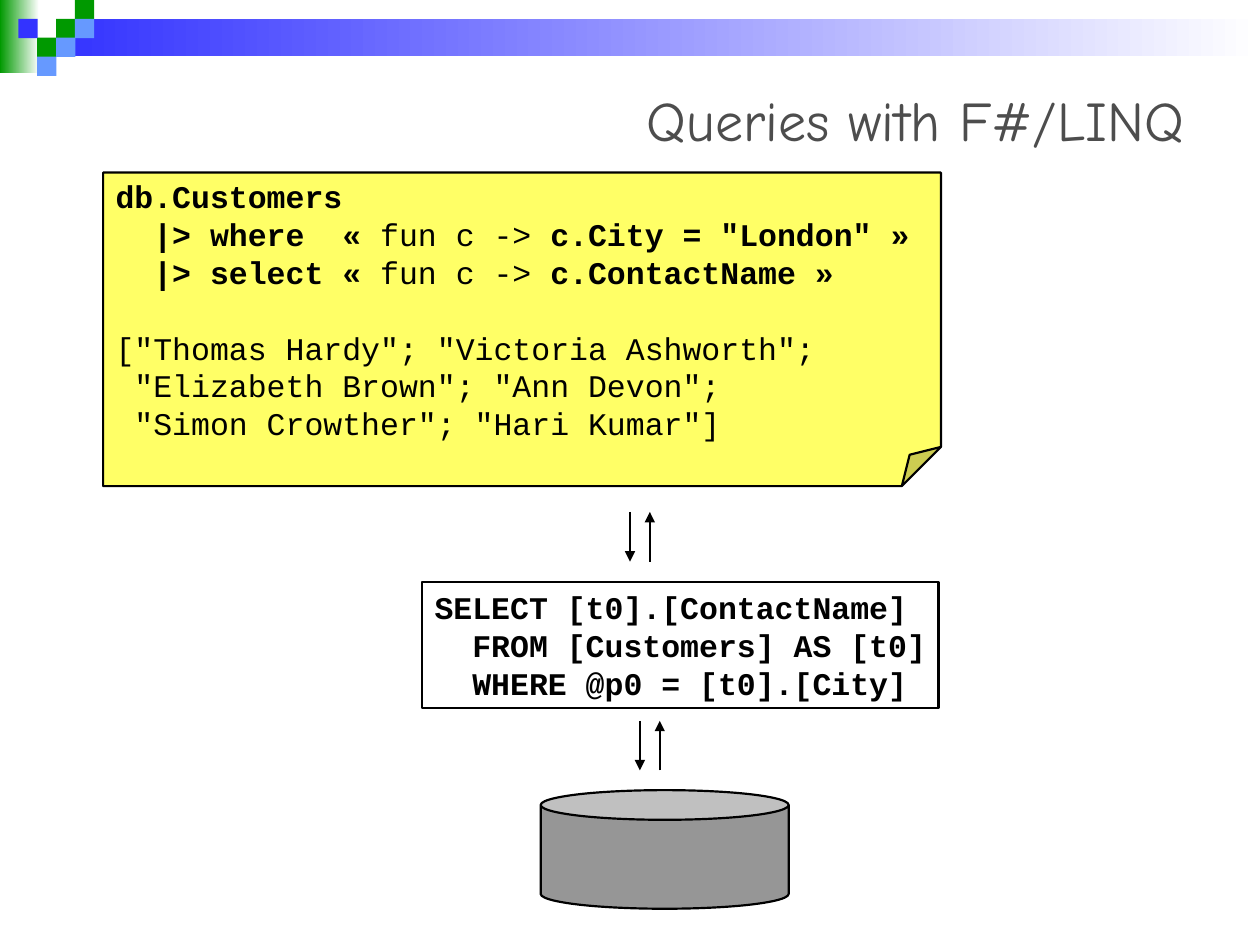
import pptx
import pptx.dml.color
import pptx.enum.shapes
import pptx.enum.text
import pptx.oxml.ns
import pptx.util
from lxml import etree
from pptx.util import Cm

RGBColor = pptx.dml.color.RGBColor
SHAPES = pptx.enum.shapes.MSO_SHAPE
ALIGN = pptx.enum.text.PP_ALIGN
BLACK = RGBColor(0x00, 0x00, 0x00)
WHITE = RGBColor(0xFF, 0xFF, 0xFF)
GREEN = RGBColor(0x00, 0x99, 0x00)
BLUE = RGBColor(0x33, 0x33, 0xFF)
SKY = RGBColor(0x66, 0x99, 0xFF)
YELLOW = RGBColor(0xFF, 0xFF, 0x66)
GRAY = RGBColor(0x96, 0x96, 0x96)
TITLE_GRAY = RGBColor(0x4D, 0x4D, 0x4D)
CODE_FONT = "Courier New"
LINE_PITCH = 21.6

QUERY = [
    [("db.Customers", True)],
    [("  |> where  « ", True), ("fun c ->", False), (' c.City = "London" »', True)],
    [("  |> select « ", True), ("fun c ->", False), (" c.ContactName »", True)],
]
RESULT = [
    [('["Thomas Hardy"; "Victoria Ashworth";', False)],
    [(' "Elizabeth Brown"; "Ann Devon";', False)],
    [(' "Simon Crowther"; "Hari Kumar"]', False)],
]
SQL = [
    [("SELECT [t0].[ContactName]", True)],
    [("  FROM [Customers] AS [t0]", True)],
    [("  WHERE @p0 = [t0].[City]", True)],
]


def add_text(paragraph, text, *, font, size, color, bold=False):
    """Append one formatted run to a paragraph."""
    run = paragraph.add_run()
    run.text = text
    run.font.name = font
    run.font.size = pptx.util.Pt(size)
    run.font.bold = bold
    run.font.color.rgb = color


def add_block(slide, kind, left, top, width, height, fill, outline=None):
    """Add a flat preset shape, given in centimetres."""
    shape = slide.shapes.add_shape(kind, Cm(left), Cm(top), Cm(width), Cm(height))
    shape.shadow.inherit = False
    shape.fill.solid()
    shape.fill.fore_color.rgb = fill
    if outline is None:
        shape.line.fill.background()
    else:
        shape.line.color.rgb = outline
        shape.line.width = pptx.util.Pt(1.25)
    return shape


def add_fading_bar(slide, left, top, width, height, color):
    """Add a bar that fades to white towards the right."""
    shape = add_block(slide, SHAPES.RECTANGLE, left, top, width, height, color)
    shape.fill.gradient()
    shape.fill.gradient_angle = 180
    for stop, stop_color in zip(shape.fill.gradient_stops, (WHITE, color)):
        stop.color.rgb = stop_color


def add_header(slide, left, top, width):
    """Draw the fading bars and the mosaic of small squares."""
    cell = 0.38
    band_left = 1.14
    add_fading_bar(slide, left, top, 0.79, 1.47, GREEN)
    add_fading_bar(slide, left + band_left, top + cell, width - band_left, 2 * cell, BLUE)
    mosaic = [(2, 1, GREEN), (3, 0, GREEN), (3, 1, SKY), (1, 2, GREEN),
              (0, 1, BLUE), (2, 2, SKY), (1, 3, SKY)]
    for column, row, color in mosaic:
        add_block(slide, SHAPES.RECTANGLE, left + 0.37 + column * cell,
                  top + row * cell, cell + 0.01, cell + 0.01, color)


def add_title(slide, left, top, width, height, text):
    """Place and format the title placeholder."""
    title = slide.shapes.title
    title.left, title.top, title.width, title.height = map(Cm, (left, top, width, height))
    title.text_frame.vertical_anchor = pptx.enum.text.MSO_ANCHOR.MIDDLE
    paragraph = title.text_frame.paragraphs[0]
    paragraph.alignment = ALIGN.RIGHT
    add_text(paragraph, text, font="Comic Neue", size=32, color=TITLE_GRAY)


def add_code_panel(slide, kind, left, top, width, height, fill, sections):
    """Add an outlined panel of code, with one empty line's gap between sections."""
    shape = add_block(slide, kind, left, top, width, height, fill, BLACK)
    frame = shape.text_frame
    frame.word_wrap = False
    frame.vertical_anchor = pptx.enum.text.MSO_ANCHOR.MIDDLE
    paragraph = None
    for section in sections:
        for index, line in enumerate(section):
            is_first = paragraph is None
            paragraph = frame.paragraphs[0] if is_first else frame.add_paragraph()
            paragraph.alignment = ALIGN.LEFT
            paragraph.line_spacing = pptx.util.Pt(LINE_PITCH)
            if index == 0 and not is_first:
                paragraph.space_before = pptx.util.Pt(LINE_PITCH)
            for text, bold in line:
                add_text(paragraph, text, font=CODE_FONT, size=18, color=BLACK, bold=bold)
    return shape


def add_note(slide, left, top, width, height):
    """Add the query and its result on a sheet with a small folded corner."""
    note = add_code_panel(slide, SHAPES.FOLDED_CORNER, left, top, width, height,
                          YELLOW, [QUERY, RESULT])
    qn = pptx.oxml.ns.qn
    geometry = note._element.spPr.find(qn("a:prstGeom"))
    guides = geometry.find(qn("a:avLst"))
    if guides is None:
        guides = etree.SubElement(geometry, qn("a:avLst"))
    etree.SubElement(guides, qn("a:gd"), name="adj", fmla="val 12500")


def add_arrow(slide, x, start_y, end_y):
    """Add a vertical arrow with its head at the end."""
    connector = slide.shapes.add_connector(
        pptx.enum.shapes.MSO_CONNECTOR.STRAIGHT, Cm(x), Cm(start_y), Cm(x), Cm(end_y))
    connector.line.color.rgb = BLACK
    connector.line.width = pptx.util.Pt(1.25)
    qn = pptx.oxml.ns.qn
    line = connector._element.spPr.find(qn("a:ln"))
    etree.SubElement(line, qn("a:tailEnd"), type="triangle")
    etree.SubElement(connector._element.spPr, qn("a:effectLst"))


def add_exchange(slide, left, top, width, height):
    """Add a downward arrow and an upward arrow at the sides of a box."""
    add_arrow(slide, left, top, top + height)
    add_arrow(slide, left + width, top + height, top)


def main():
    """Build and save the slide."""
    presentation = pptx.Presentation()
    presentation.slide_width, presentation.slide_height = Cm(25.4), Cm(19.05)
    slide = presentation.slides.add_slide(presentation.slide_layouts[5])
    add_header(slide, 0, 0, 25.4)
    add_title(slide, 1.27, 1.27, 22.86, 2.26, "Queries with F#/LINQ")
    add_note(slide, 2.08, 3.48, 16.89, 6.32)
    add_code_panel(slide, SHAPES.RECTANGLE, 8.51, 11.73, 10.41, 2.54, WHITE, [SQL])
    add_block(slide, SHAPES.CAN, 10.9, 15.93, 5, 2.39, GRAY, BLACK)
    add_exchange(slide, 12.9, 14.53, 0.4, 1)
    add_exchange(slide, 12.7, 10.32, 0.4, 1)
    presentation.save("out.pptx")


if __name__ == "__main__":
    main()
